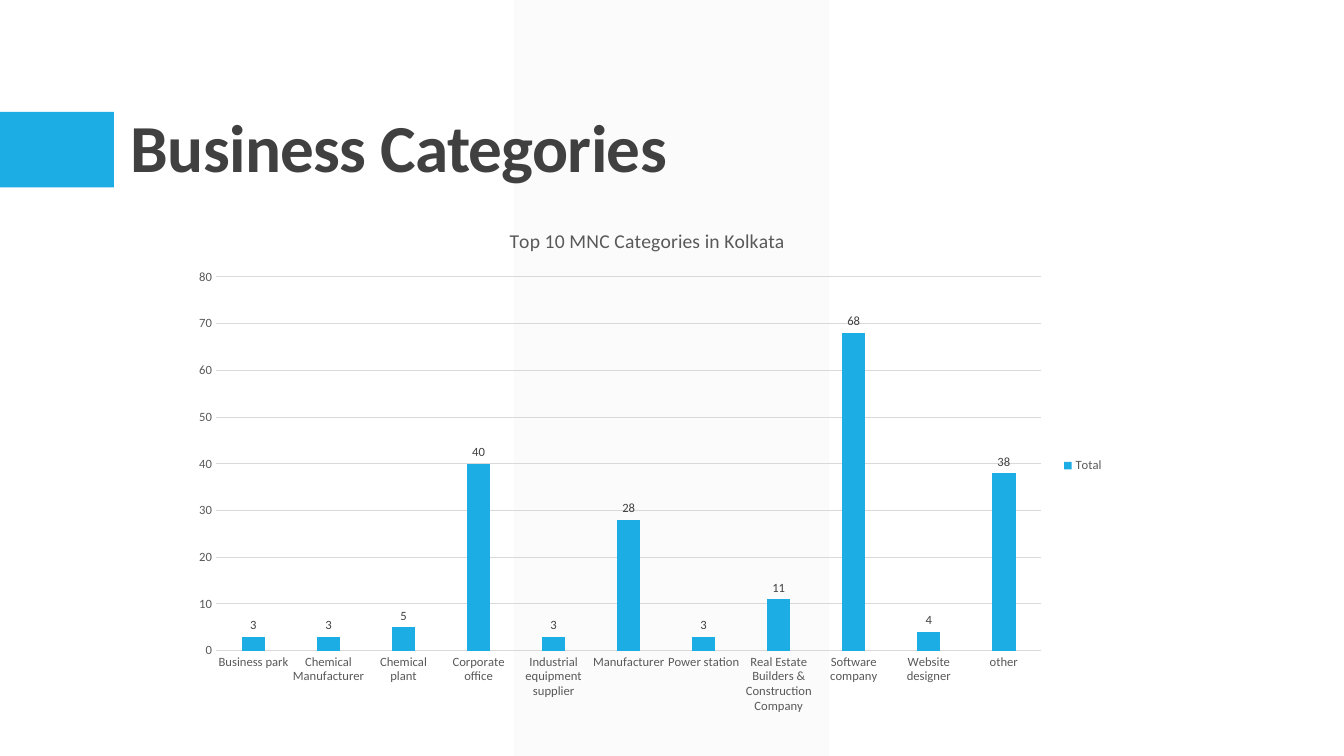
from lxml import etree
from pptx import Presentation
from pptx.chart.data import CategoryChartData
from pptx.dml.color import RGBColor
from pptx.enum import chart as ch, shapes, text
from pptx.oxml import ns
from pptx.util import Inches, Pt

COLORS = {"accent": "1CADE4", "band": "F2F2F2", "dark": "404040",
          "label": "595959", "grid": "D9D9D9"}
FONT = "Calibri"
CATEGORIES = {
    "Business park": 3, "Chemical Manufacturer": 3, "Chemical plant": 5,
    "Corporate office": 40, "Industrial equipment supplier": 3,
    "Manufacturer": 28, "Power station": 3,
    "Real Estate Builders & Construction Company": 11,
    "Software company": 68, "Website designer": 4, "other": 38,
}


def rgb(name):
    return RGBColor.from_string(COLORS[name])


def set_font(font, size, color, bold=False):
    font.name, font.size, font.bold = FONT, Pt(size), bold
    font.color.rgb = rgb(color)


def add_block(s, kind, box, color):
    """Add a filled shape without outline or shadow."""
    sp = s.shapes.add_shape(kind, *map(Inches, box))
    sp.shadow.inherit = False
    sp.fill.solid()
    sp.fill.fore_color.rgb = rgb(color)
    sp.line.fill.background()
    return sp


def add_background(s, box):
    """Add the pale, mostly transparent vertical band."""
    band = add_block(s, shapes.MSO_SHAPE.PARALLELOGRAM, box, "band")
    band.adjustments[0] = 0
    color = band.fill._xPr.find(".//" + ns.qn("a:srgbClr"))
    etree.SubElement(color, ns.qn("a:alpha"), val="30000")


def add_heading(s, box, words):
    """Add the title, with the accent bar running to the slide's left edge."""
    left, top, width, height = box
    add_block(s, shapes.MSO_SHAPE.RECTANGLE,
              (0, top + 0.8, left - 0.07, 0.75), "accent")
    tf = s.shapes.add_textbox(*map(Inches, box)).text_frame
    tf.word_wrap = True
    tf.vertical_anchor = text.MSO_ANCHOR.BOTTOM
    p = tf.paragraphs[0]
    p.line_spacing = 0.9
    r = p.add_run()
    r.text = words
    set_font(r.font, 48, "dark", bold=True)
    r.font._element.set("spc", "-50")


def style_axis(axis):
    axis.major_tick_mark = axis.minor_tick_mark = ch.XL_TICK_MARK.NONE
    set_font(axis.tick_labels.font, 9, "label")


def add_category_chart(s, box, title):
    data = CategoryChartData()
    data.categories = list(CATEGORIES)
    data.add_series("Total", CATEGORIES.values())
    chart = s.shapes.add_chart(ch.XL_CHART_TYPE.COLUMN_CLUSTERED,
                               *map(Inches, box), data).chart
    chart.font.name, chart.font.size = FONT, Pt(10)

    chart.has_title = True
    p = chart.chart_title.text_frame.paragraphs[0]
    p.text = title
    set_font(p.font, 14, "label")
    chart.chart_title.include_in_layout = False

    chart.has_legend = True
    chart.legend.position = ch.XL_LEGEND_POSITION.RIGHT
    chart.legend.include_in_layout = False
    set_font(chart.legend.font, 9, "label")

    categories, values = chart.category_axis, chart.value_axis
    for axis in (categories, values):
        style_axis(axis)
    values.minimum_scale, values.maximum_scale, values.major_unit = 0, 80, 10
    values.has_major_gridlines = True
    values.format.line.fill.background()
    for line in (categories.format.line, values.major_gridlines.format.line):
        line.color.rgb = rgb("grid")
        line.width = Pt(0.75)

    plot = chart.plots[0]
    plot.gap_width, plot.overlap = 219, -27
    plot.vary_by_categories = False
    total = plot.series[0]
    total.format.fill.solid()
    total.format.fill.fore_color.rgb = rgb("accent")
    labels = total.data_labels
    labels.show_value = True
    labels.position = ch.XL_LABEL_POSITION.OUTSIDE_END
    set_font(labels.font, 9, "dark")


def main():
    prs = Presentation()
    prs.slide_width, prs.slide_height = Inches(13.33), Inches(7.5)
    s = prs.slides.add_slide(prs.slide_layouts[6])
    add_background(s, (5.1, 0, 3.12, 7.5))
    add_heading(s, (1.2, 0.31, 11, 1.59), "Business Categories")
    add_category_chart(s, (1.79, 2.06, 9.26, 5.12),
                       "Top 10 MNC Categories in Kolkata")
    prs.save("out.pptx")


if __name__ == "__main__":
    main()
